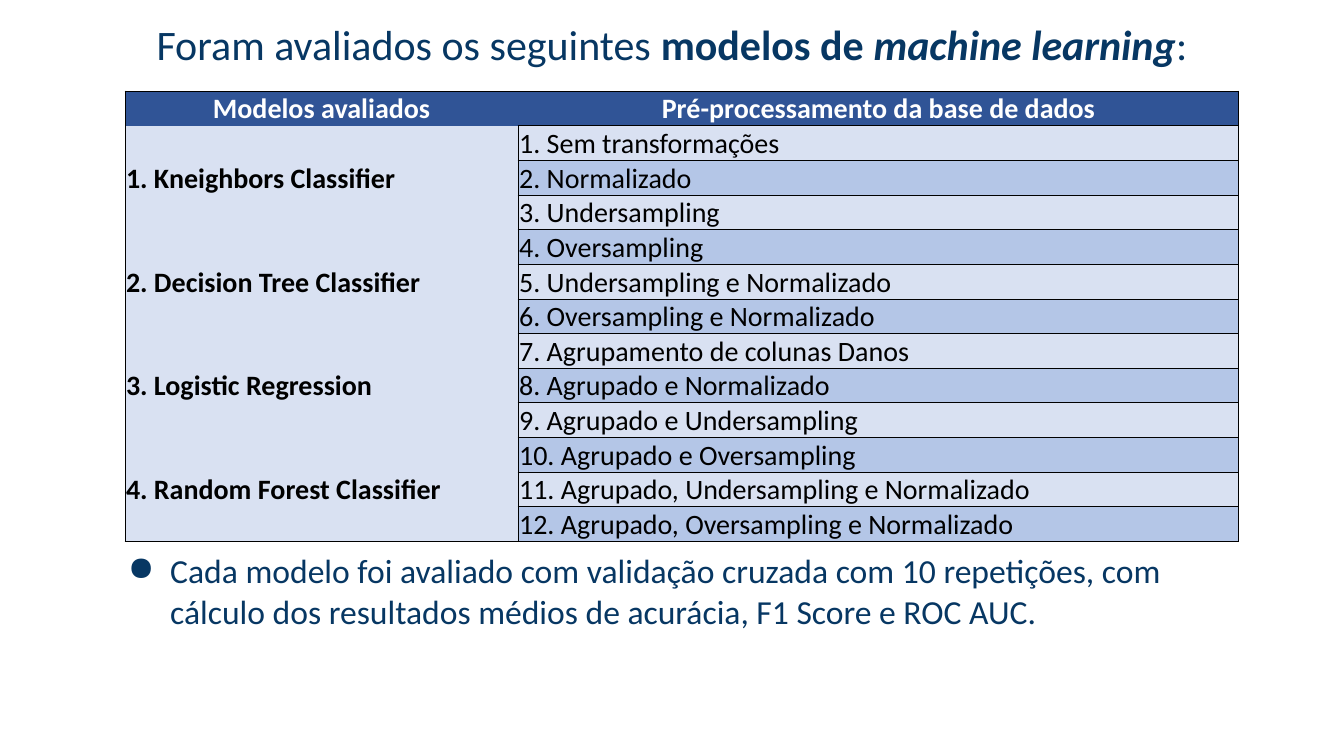
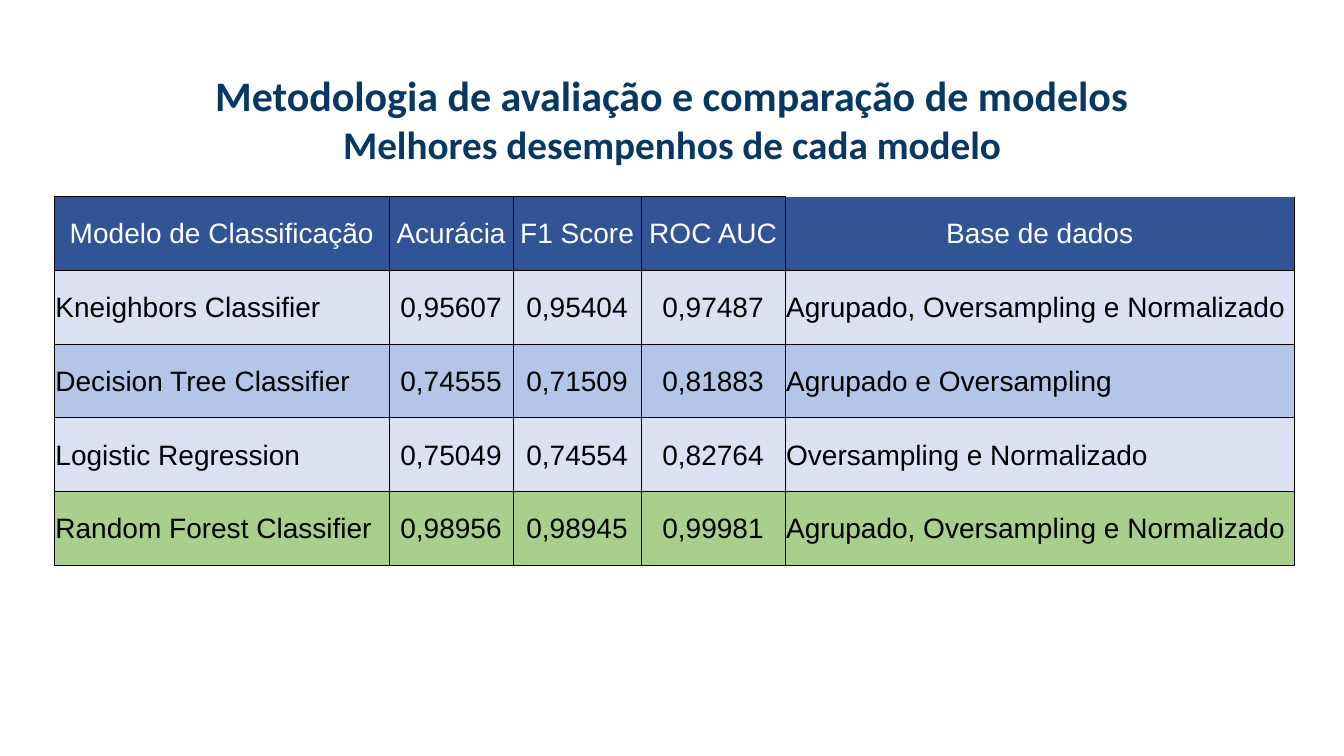
from lxml.etree import SubElement
from pptx import Presentation
from pptx.dml.color import RGBColor
from pptx.enum.text import MSO_ANCHOR, PP_ALIGN
from pptx.oxml.ns import qn
from pptx.util import Inches, Pt

COLORS = {"navy": "073763", "header": "305496", "light": "D9E1F2", "mid": "B4C6E7",
          "best": "A8D08C", "white": "FFFFFF", "black": "000000"}
SLIDE_WIDTH, SLIDE_HEIGHT = Inches(13.333), Inches(7.5)
TITLE_LEFT, TITLE_WIDTH = 2.7, 94.6
ALL_SIDES = "LRTB"


def area(left, top, width, height):
    """Turn percentages of the slide into a box."""
    return (round(SLIDE_WIDTH * left / 100), round(SLIDE_HEIGHT * top / 100),
            round(SLIDE_WIDTH * width / 100), round(SLIDE_HEIGHT * height / 100))


def color(name):
    return RGBColor.from_string(COLORS[name])


def style(para, size, font, tone, bold=False, align=PP_ALIGN.LEFT):
    para.alignment = align
    para.font.size, para.font.name, para.font.bold = Pt(size), font, bold
    para.font.color.rgb = color(tone)


def add_text_frame(page, box, vertical_inset):
    frame = page.shapes.add_textbox(*box).text_frame
    frame.word_wrap = True
    frame.margin_left = frame.margin_right = Inches(0.1)
    frame.margin_top = frame.margin_bottom = Inches(vertical_inset)
    return frame


def add_title(page, top, height, lines):
    """Centred title; each line is a size and its (text, bold, italic) spans."""
    frame = add_text_frame(page, area(TITLE_LEFT, top, TITLE_WIDTH, height), 0.1)
    for index, (size, spans) in enumerate(lines):
        para = frame.add_paragraph() if index else frame.paragraphs[0]
        style(para, size, "Calibri", "navy", align=PP_ALIGN.CENTER)
        for text, bold, italic in spans:
            span = para.add_run()
            span.text = text
            span.font.bold, span.font.italic = bold, italic


def add_bullet(page, box, text):
    para = add_text_frame(page, box, 0.05).paragraphs[0]
    para.text = text
    properties = para._p.get_or_add_pPr()
    properties.set("marL", str(Inches(0.5)))
    properties.set("indent", str(Inches(-0.42)))
    SubElement(properties, qn("a:buChar"), char="●")
    style(para, 24, "Calibri", "navy")


def set_borders(cell, sides):
    properties = cell._tc.get_or_add_tcPr()
    for side in ALL_SIDES:
        line = SubElement(properties, qn(f"a:ln{side}"), w=str(Pt(0.75)))
        if side in sides:
            fill = SubElement(line, qn("a:solidFill"))
            SubElement(fill, qn("a:srgbClr"), val=COLORS["black"])
        else:
            SubElement(line, qn("a:noFill"))


def add_grid(page, box, column_shares, rows, font, look):
    """Table whose look(row, column) gives fill, sides, bold and alignment."""
    left, top, width, height = box
    table = page.shapes.add_table(len(rows), len(column_shares), *box).table
    table.first_row = table.horz_banding = False
    for column, share in zip(table.columns, column_shares):
        column.width = round(width * share / sum(column_shares))
    for row_index, texts in enumerate(rows):
        table.rows[row_index].height = round(height / len(rows))
        for column_index, text in enumerate(texts):
            cell = table.cell(row_index, column_index)
            fill, sides, bold, align = look(row_index, column_index)
            set_borders(cell, sides)
            cell.fill.solid()
            cell.fill.fore_color.rgb = color(fill)
            cell.vertical_anchor = MSO_ANCHOR.MIDDLE
            cell.margin_left = cell.margin_right = cell.margin_top = Inches(0.01)
            cell.margin_bottom = 0
            para = cell.text_frame.paragraphs[0]
            if text:
                para.text = text
            style(para, 20, font, "black" if row_index else "white", bold, align)


def band(row):
    return "light" if row % 2 else "mid"


def build_models(page):
    """Evaluated models beside the preprocessing variants."""
    add_title(page, 1.07, 9.47, [(30, [
        ("Foram avaliados os seguintes ", False, False), ("modelos de ", True, False),
        ("machine learning", True, True), (":", False, False)])])
    models = ["Kneighbors Classifier", "Decision Tree Classifier",
              "Logistic Regression", "Random Forest Classifier"]
    variants = ["Sem transformações", "Normalizado", "Undersampling", "Oversampling",
                "Undersampling e Normalizado", "Oversampling e Normalizado",
                "Agrupamento de colunas Danos", "Agrupado e Normalizado",
                "Agrupado e Undersampling", "Agrupado e Oversampling",
                "Agrupado, Undersampling e Normalizado",
                "Agrupado, Oversampling e Normalizado"]
    span = len(variants) // len(models)
    rows = [("Modelos avaliados", "Pré-processamento da base de dados")]
    for index, variant in enumerate(variants):
        group, place = divmod(index, span)
        # Each model name sits in the middle row of its group
        model = f"{group + 1}. {models[group]}" if place == span // 2 else ""
        rows.append((model, f"{index + 1}. {variant}"))

    def look(row, column):
        if row == 0:
            return "header", "RTB" if column else "LT", True, PP_ALIGN.CENTER
        if column == 0:
            sides = "LRB" if row == len(variants) else "LR"
            return "light", sides, True, PP_ALIGN.LEFT
        return band(row), ALL_SIDES, False, PP_ALIGN.LEFT

    add_grid(page, area(9.3, 12.05, 82.88, 59.3), (3.9, 7.15), rows, "Calibri", look)
    add_bullet(page, area(8.18, 72.13, 84.08, 12.13),
               "Cada modelo foi avaliado com validação cruzada com 10 repetições, com "
               "cálculo dos resultados médios de acurácia, F1 Score e ROC AUC.")


def build_results(page):
    """Best scores of each model, with the winner in green."""
    add_title(page, 7.87, 16.13, [
        (30, [("Metodologia de avaliação e comparação de modelos", True, False)]),
        (28, [("Melhores desempenhos de cada modelo", True, False)])])
    rows = [
        ("Modelo de Classificação", "Acurácia", "F1 Score", "ROC AUC", "Base de dados"),
        ("Kneighbors Classifier", "0,95607", "0,95404", "0,97487",
         "Agrupado, Oversampling e Normalizado"),
        ("Decision Tree Classifier", "0,74555", "0,71509", "0,81883",
         "Agrupado e Oversampling"),
        ("Logistic Regression", "0,75049", "0,74554", "0,82764",
         "Oversampling e Normalizado"),
        ("Random Forest Classifier", "0,98956", "0,98945", "0,99981",
         "Agrupado, Oversampling e Normalizado")]
    last_row, last_column = len(rows) - 1, len(rows[0]) - 1

    def look(row, column):
        if row == 0:
            sides = "LRB" if column == last_column else ALL_SIDES
            return "header", sides, False, PP_ALIGN.CENTER
        align = PP_ALIGN.LEFT if column in (0, last_column) else PP_ALIGN.CENTER
        return "best" if row == last_row else band(row), ALL_SIDES, False, align

    add_grid(page, area(4.05, 26, 92.25, 48.8), (3.32, 1.23, 1.27, 1.43, 5.05),
             rows, "Arial", look)


def main():
    deck = Presentation()
    deck.slide_width, deck.slide_height = SLIDE_WIDTH, SLIDE_HEIGHT
    for build in (build_models, build_results):
        build(deck.slides.add_slide(deck.slide_layouts[6]))
    deck.save("out.pptx")


if __name__ == "__main__":
    main()
